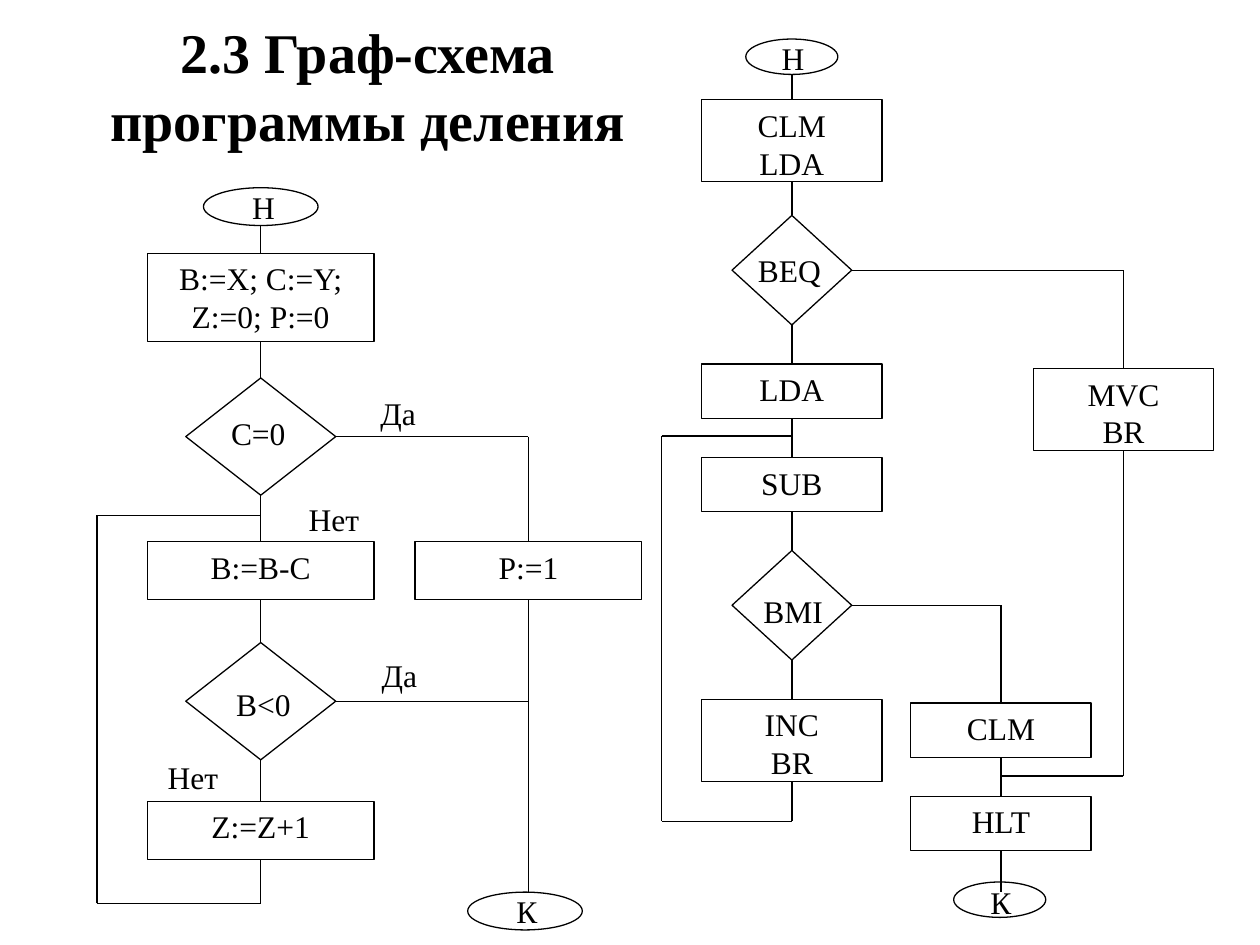
"""Build a slide with two division flowcharts: the algorithm and its machine commands."""
import pptx
import pptx.dml.color
import pptx.enum.shapes
import pptx.enum.text
import pptx.oxml.ns
import pptx.util
from lxml import etree

Pt = pptx.util.Pt
KINDS = pptx.enum.shapes.MSO_SHAPE
COLOURS = {"ink": "000000"}
FONT = "Times New Roman"
TOP, LEFT, BOTTOM, RIGHT = range(4)

MAIN, BRANCH, LOOP = 149, 302, 55.5
ALGORITHM = {
    "ovals": {"start": (MAIN, 107.3), "end": (300, 509.8)},
    "oval_size": (65.5, 21.6),
    "diamonds": {"zero": (MAIN, 216), "negative": (MAIN, 367.2)},
    "diamond_size": (85.7, 67),
    "box_width": 129.6,
    "boxes": {
        "init": (MAIN, 144.7, 50.4, "B:=X; C:=Y;\nZ:=0; P:=0"),
        "subtract": (MAIN, 309.6, 33.1, "B:=B-C"),
        "count": (MAIN, 457.9, 33.1, "Z:=Z+1"),
        "flag": (BRANCH, 309.6, 33.1, "P:=1"),
    },
    "label_size": (87.8, 29.5),
    "labels": [
        ("Н", 150.5, 103.7), ("C=0", 147.6, 233.3), ("B<0", 150.5, 388.1),
        ("Да", 227.5, 221.8), ("Нет", 190.8, 282.2), ("Да", 228.2, 371.5),
        ("Нет", 110.2, 429.8), ("К", 301, 506.2),
    ],
    "lines": [
        [(MAIN, 129), ("init", TOP)],
        [("init", BOTTOM), ("zero", TOP)],
        [("zero", BOTTOM), ("subtract", TOP)],
        [("subtract", BOTTOM), ("negative", TOP)],
        [("negative", BOTTOM), ("count", TOP)],
        [("zero", RIGHT), (BRANCH, 249.5), ("flag", TOP)],
        [("negative", RIGHT), (BRANCH, 400.7)],
        [("flag", BOTTOM), (BRANCH, 509.8)],
        [("count", BOTTOM), (MAIN, 516.2), (LOOP, 516.2), (LOOP, 294.5), (MAIN, 294.5)],
    ],
}

STEM, EXIT, SKIP, BACK = 452.5, 572, 642, 378
COMMANDS = {
    "ovals": {"start": (STEM, 22.3), "end": (571.3, 504)},
    "oval_size": (52.6, 20.2),
    "diamonds": {"beq": (STEM, 123.1), "bmi": (STEM, 314.6)},
    "diamond_size": (68.4, 62.6),
    "box_width": 103,
    "boxes": {
        "load": (STEM, 56.9, 47, "CLM\nLDA"),
        "reload": (STEM, 208.1, 31, "LDA"),
        "sub": (STEM, 261.4, 31, "SUB"),
        "inc": (STEM, 399.6, 47, "INC\nBR"),
        "move": (SKIP, 210.5, 47, "MVC\nBR"),
        "clear": (EXIT, 401.8, 31, "CLM"),
        "halt": (EXIT, 455, 31, "HLT"),
    },
    "label_size": (69.8, 27.4),
    "labels": [
        ("Н", 453.2, 18.7), ("BEQ", 451.1, 139.7),
        ("BMI", 453.2, 334.8), ("К", 572, 501.1),
    ],
    "lines": [
        [(STEM, 42.5), ("load", TOP)],
        [("load", BOTTOM), ("beq", TOP)],
        [("beq", BOTTOM), ("reload", TOP)],
        [("reload", BOTTOM), ("sub", TOP)],
        [("sub", BOTTOM), ("bmi", TOP)],
        [("bmi", BOTTOM), ("inc", TOP)],
        [("beq", RIGHT), (SKIP, 154.4), ("move", TOP)],
        [("bmi", RIGHT), (EXIT, 345.9), ("clear", TOP)],
        [("clear", BOTTOM), ("halt", TOP)],
        [("move", BOTTOM), (SKIP, 443.5), (EXIT, 443.5)],
        [("halt", BOTTOM), (EXIT, 509.8)],
        [("inc", BOTTOM), (STEM, 469.4), (BACK, 469.4), (BACK, 249.1), (STEM, 249.1)],
    ],
}


def colour(name):
    return pptx.dml.color.RGBColor.from_string(COLOURS[name])


def place(centre, top, size):
    width, height = size
    return Pt(centre - width / 2), Pt(top), Pt(width), Pt(height)


def write(box, text, size=18, bold=False):
    frame = box.text_frame
    frame.word_wrap = True
    frame.auto_size = pptx.enum.text.MSO_AUTO_SIZE.NONE
    frame.text = text
    for para in frame.paragraphs:
        para.alignment = pptx.enum.text.PP_ALIGN.CENTER
        para.font.name = FONT
        para.font.size = Pt(size)
        para.font.bold = bold
        para.font.color.rgb = colour("ink")


def add_outline(canvas, kind, centre, top, size):
    shape = canvas.add_shape(kind, *place(centre, top, size))
    shape.shadow.inherit = False
    shape.fill.background()
    shape.line.color.rgb = colour("ink")
    shape.line.width = Pt(0.75)
    return shape


def add_box(canvas, centre, top, size, text):
    box = add_outline(canvas, KINDS.RECTANGLE, centre, top, size)
    write(box, text)
    box.text_frame.vertical_anchor = pptx.enum.text.MSO_ANCHOR.TOP
    return box


def add_label(canvas, text, centre, top, size):
    write(canvas.add_textbox(*place(centre, top, size)), text)


def locate(end, nodes):
    if end[0] not in nodes:
        return Pt(end[0]), Pt(end[1])
    node, side = nodes[end[0]], end[1]
    across = {LEFT: 0, RIGHT: node.width}.get(side, node.width // 2)
    down = {TOP: 0, BOTTOM: node.height}.get(side, node.height // 2)
    return node.left + across, node.top + down


def add_line(canvas, start, finish, nodes):
    straight = pptx.enum.shapes.MSO_CONNECTOR.STRAIGHT
    line = canvas.add_connector(straight, *locate(start, nodes), *locate(finish, nodes))
    line.line.color.rgb = colour("ink")
    line.line.width = Pt(0.75)
    etree.SubElement(line._element.spPr, pptx.oxml.ns.qn("a:effectLst"))
    for end, connect in ((start, line.begin_connect), (finish, line.end_connect)):
        if end[0] in nodes:
            connect(nodes[end[0]], end[1])


def add_flowchart(page, chart):
    canvas = page.shapes.add_group_shape().shapes
    nodes = {}
    for centre, top in chart["ovals"].values():
        add_outline(canvas, KINDS.OVAL, centre, top, chart["oval_size"])
    for name, (centre, top, height, text) in chart["boxes"].items():
        nodes[name] = add_box(canvas, centre, top, (chart["box_width"], height), text)
    for name, (centre, top) in chart["diamonds"].items():
        nodes[name] = add_outline(canvas, KINDS.DIAMOND, centre, top, chart["diamond_size"])
    for text, centre, top in chart["labels"]:
        add_label(canvas, text, centre, top, chart["label_size"])
    for route in chart["lines"]:
        for start, finish in zip(route, route[1:]):
            add_line(canvas, start, finish, nodes)


def add_title(page, text):
    title = page.shapes.title
    title.left, title.top, title.width, title.height = Pt(36), Pt(11.5), Pt(348.5), Pt(74.2)
    write(title, text, 32, True)
    title.text_frame.vertical_anchor = pptx.enum.text.MSO_ANCHOR.MIDDLE


def main():
    deck = pptx.Presentation()
    deck.slide_width, deck.slide_height = Pt(720), Pt(540)
    page = deck.slides.add_slide(deck.slide_layouts[5])
    add_title(page, "2.3 Граф-схема программы деления")
    for chart in (COMMANDS, ALGORITHM):
        add_flowchart(page, chart)
    deck.save("out.pptx")


if __name__ == "__main__":
    main()
